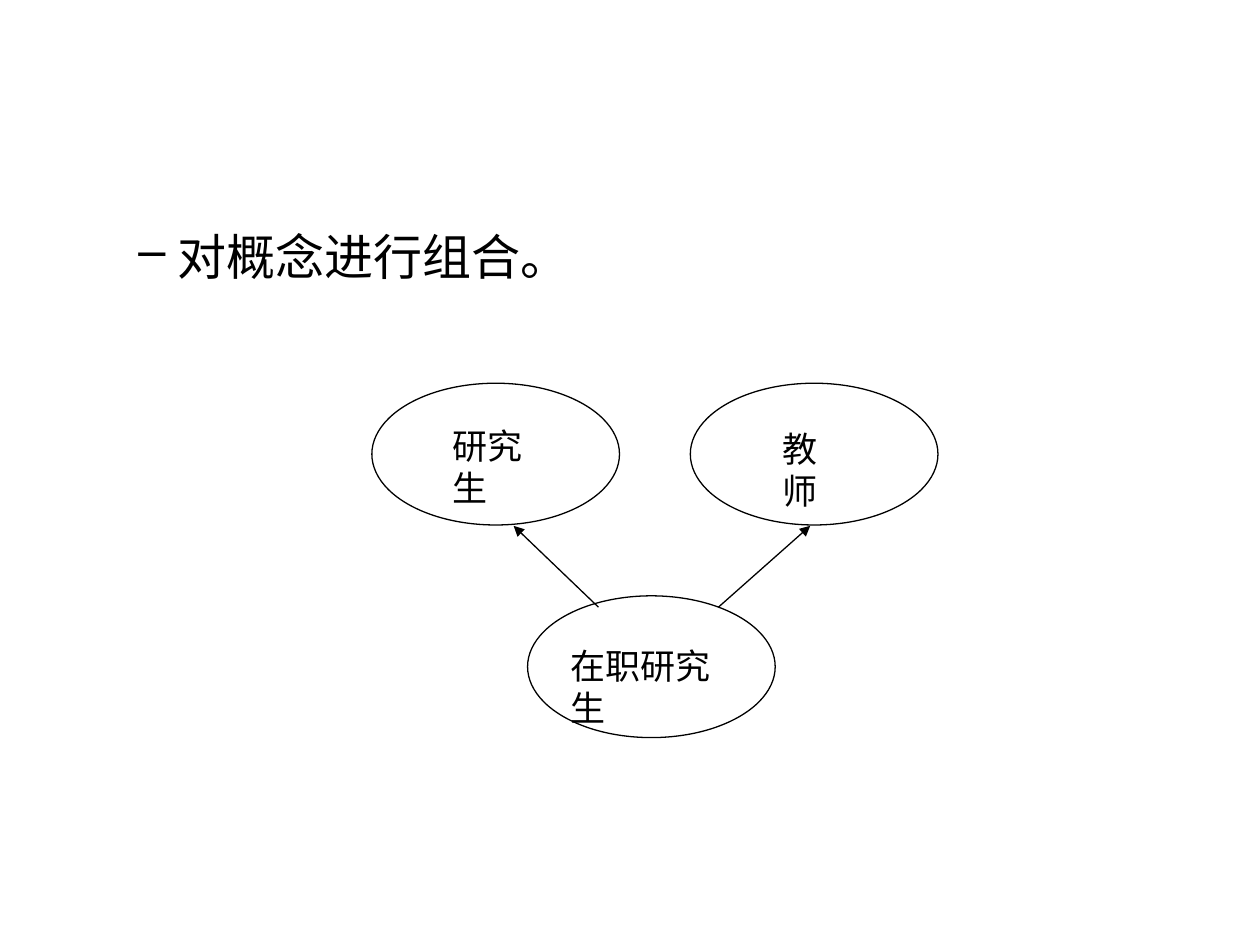
import pptx
import pptx.dml.color
import pptx.enum.shapes
import pptx.enum.text
import pptx.oxml.ns
import pptx.util
from lxml import etree

Pt = pptx.util.Pt
BLACK = pptx.dml.color.RGBColor(0, 0, 0)
LABEL_SIZE = 20


class ConceptSlide:
    """Holds the style and the current slide; lengths are in points."""

    heading_font = "Calibri"
    label_font = "DejaVu Sans"
    line_width = 0.75

    def __init__(self, slide):
        self.slide = slide

    def child(self, parent, tag, **attributes):
        return etree.SubElement(parent, pptx.oxml.ns.qn(tag), attributes)

    def outline(self, shape):
        shape.line.color.rgb = BLACK
        shape.line.width = Pt(self.line_width)

    def text(self, text, left, top, width, height, size, font, bullet=None):
        box = self.slide.shapes.add_textbox(Pt(left), Pt(top), Pt(width), Pt(height))
        frame = box.text_frame
        frame.word_wrap = True
        frame.auto_size = pptx.enum.text.MSO_AUTO_SIZE.NONE
        paragraph = frame.paragraphs[0]
        paragraph.text = text
        if bullet:
            properties = paragraph._p.get_or_add_pPr()
            properties.set("marL", str(Pt(58.5)))
            properties.set("indent", str(Pt(-22.5)))
            self.child(properties, "a:buChar", char=bullet)
        paragraph.font.size = Pt(size)
        paragraph.font.name = font
        paragraph.font.color.rgb = BLACK

    def bullet(self, text, left, top, width, height):
        self.text(text, left, top, width, height, 28, self.heading_font, "–")

    def ellipse(self, left, top, width, height):
        shape = self.slide.shapes.add_shape(
            pptx.enum.shapes.MSO_SHAPE.OVAL, Pt(left), Pt(top), Pt(width), Pt(height))
        shape.shadow.inherit = False
        shape.fill.background()
        self.outline(shape)

    def label(self, text, left, top):
        # Just too narrow for all the characters, so the last one wraps
        width = LABEL_SIZE * len(text) + 14
        self.text(text, left, top, width, 31, LABEL_SIZE, self.label_font)

    def arrow(self, start, end):
        connector = self.slide.shapes.add_connector(
            pptx.enum.shapes.MSO_CONNECTOR.STRAIGHT, *map(Pt, start + end))
        self.outline(connector)
        self.child(connector.line._get_or_add_ln(), "a:tailEnd", type="triangle")
        self.child(connector._element.spPr, "a:effectLst")


def main():
    presentation = pptx.Presentation()
    presentation.slide_width, presentation.slide_height = Pt(720), Pt(540)
    blank_layout = presentation.slide_layouts[6]
    page = ConceptSlide(presentation.slides.add_slide(blank_layout))

    # Statement
    page.bullet("对概念进行组合。", 36, 126, 648, 70.5)

    # Concepts: two parents above their combination
    for left, top in ((212.5, 219), (394.5, 219), (301.5, 340.5)):
        page.ellipse(left, top, 141.5, 81)

    # Arrows from the combination to its parents
    page.arrow((342, 347), (293.5, 300.5))
    page.arrow((410.5, 347), (463, 300.5))

    # Concept names
    page.label("研究生", 251.5, 239)
    page.label("教师", 440, 240.5)
    page.label("在职研究生", 319, 365)

    presentation.save("out.pptx")


if __name__ == "__main__":
    main()
